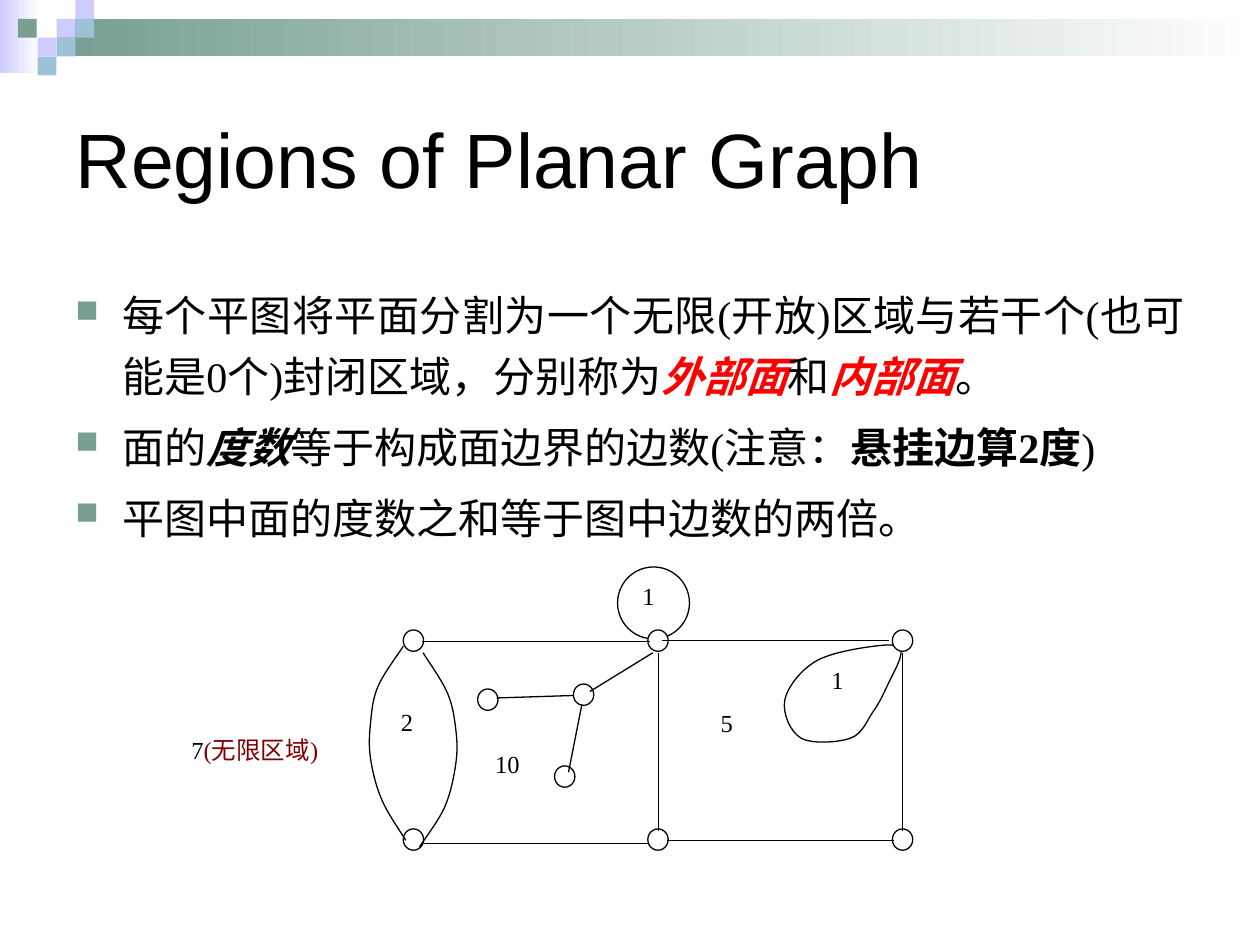
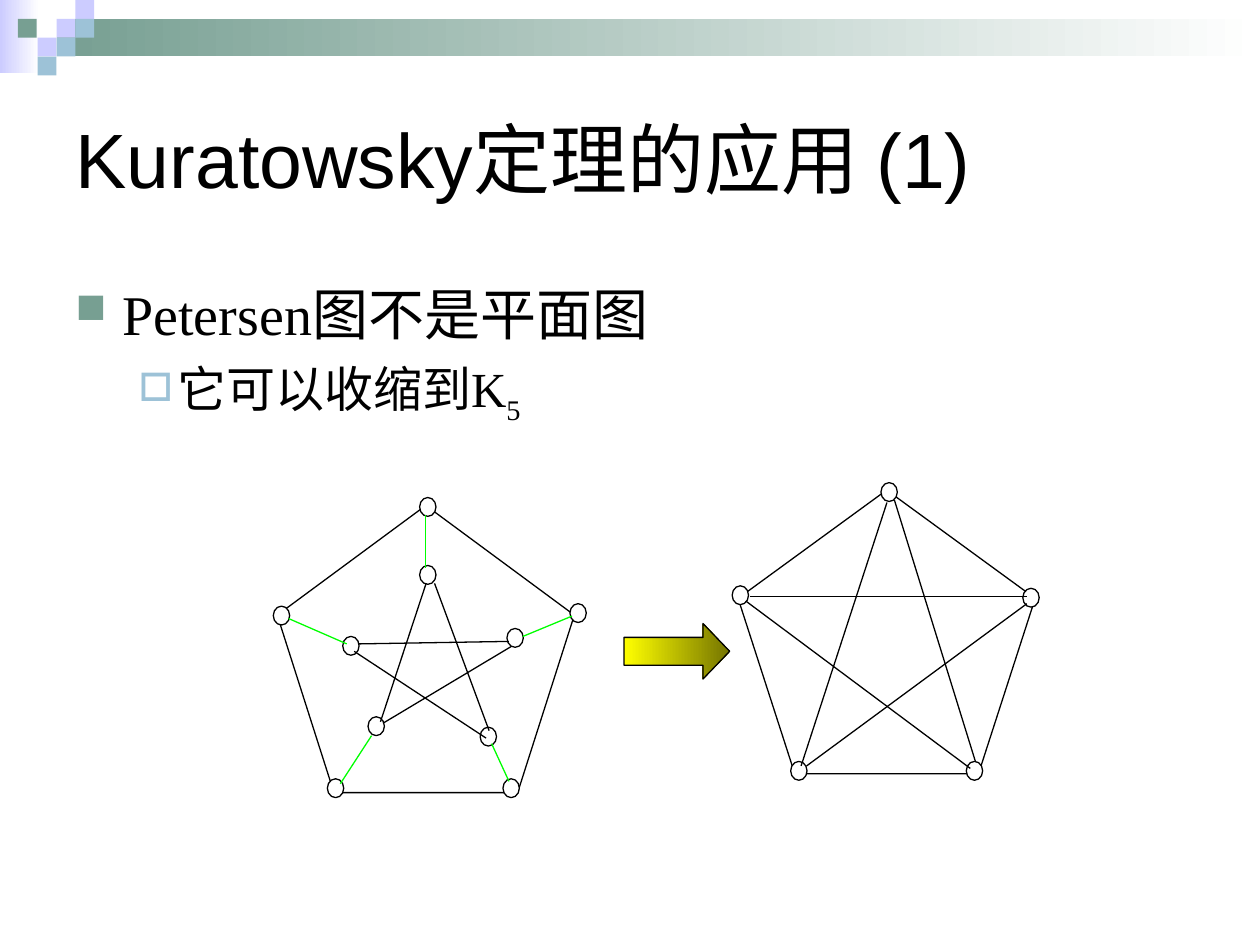
"""Build two slides on planar graphs: face degrees and the Petersen graph."""
import lxml.etree
import pptx
import pptx.dml.color
import pptx.enum.shapes
import pptx.enum.text
import pptx.oxml.ns
import pptx.util

Cm = pptx.util.Cm
Pt = pptx.util.Pt
qn = pptx.oxml.ns.qn
SHAPE = pptx.enum.shapes.MSO_SHAPE
ALIGN = pptx.enum.text.PP_ALIGN
BLACK, WHITE, RED, MAROON, GREEN = "000000", "FFFFFF", "FF0000", "800000", "00FF00"
SAGE, LILAC, SKY = "779F92", "CCCCFF", "9DC2D7"
SANS, SERIF, SYMBOLS = "Arial", "Times New Roman", "Wingdings"
GRID = 0.38
CORNER_SQUARES = [(3, 1, LILAC), (4, 0, LILAC), (4, 1, SKY), (2, 2, LILAC),
                  (0.95, 1, SAGE), (3, 2, SKY), (2, 3, SKY)]


def rgb(code):
    return pptx.dml.color.RGBColor.from_string(code)


class SlideWriter:
    def __init__(self, deck):
        self.deck = deck
        self.page = None

    def new_page(self, title):
        self.page = self.deck.slides.add_slide(self.deck.slide_layouts[5])
        if len(self.deck.slides) == 1:
            self.master_band()
        box = self.page.shapes.title
        box.left, box.top, box.width, box.height = Cm(1.27), Cm(1.27), Cm(22.86), Cm(3.81)
        frame = box.text_frame
        frame.auto_size = pptx.enum.text.MSO_AUTO_SIZE.NONE
        frame.vertical_anchor = pptx.enum.text.MSO_ANCHOR.MIDDLE
        para = frame.paragraphs[0]
        para.alignment = ALIGN.LEFT
        self.span(para, title, 44, font=SANS)

    def master_band(self):
        parts = [self.shape(SHAPE.RECTANGLE, 0, 0, 0.79, 1.47, (LILAC, WHITE), None),
                 self.shape(SHAPE.RECTANGLE, 1.14, GRID, 24.26, 2 * GRID, (SAGE, WHITE), None)]
        for column, row, color in CORNER_SQUARES:
            parts.append(self.shape(SHAPE.RECTANGLE, column * GRID, row * GRID,
                                    GRID, GRID, color, None))
        tree = self.deck.slide_master.shapes.element
        for index, part in enumerate(parts):
            part.element.nvSpPr.cNvPr.set("id", str(100 + index))
            tree.insert(2 + index, part.element)

    def shape(self, kind, left, top, width, height, fill=WHITE, line=BLACK):
        shape = self.page.shapes.add_shape(kind, Cm(left), Cm(top), Cm(width), Cm(height))
        self.paint(shape, fill, line)
        return shape

    def paint(self, shape, fill, line):
        shape.shadow.inherit = False
        if fill is None:
            shape.fill.background()
        elif isinstance(fill, tuple):
            shape.fill.gradient()
            shape.fill.gradient_angle = 0
            for stop, color in zip(shape.fill.gradient_stops, fill):
                stop.color.rgb = rgb(color)
        else:
            shape.fill.solid()
            shape.fill.fore_color.rgb = rgb(fill)
        if line is None:
            shape.line.fill.background()
        else:
            shape.line.color.rgb = rgb(line)
            shape.line.width = Pt(0.75)

    def nodes(self, corners, width, height):
        for left, top in corners:
            self.shape(SHAPE.OVAL, left, top, width, height)

    def edges(self, ends, color=BLACK):
        for end in ends:
            edge = self.page.shapes.add_connector(
                pptx.enum.shapes.MSO_CONNECTOR.STRAIGHT, *map(Cm, end))
            edge.line.color.rgb = rgb(color)
            edge.line.width = Pt(0.75)
            properties = edge.element.find(qn("p:spPr"))
            lxml.etree.SubElement(properties, qn("a:effectLst"))

    def curve(self, knots, closed=False):
        points = [(Cm(x), Cm(y)) for x, y in knots + knots[:1] * closed]
        builder = self.page.shapes.build_freeform(*points[0])
        builder.add_line_segments(points[1:], close=closed)
        shape = builder.convert_to_shape()
        self.paint(shape, None, BLACK)
        self.bend(shape, closed)

    def bend(self, shape, closed):
        points = [(int(point.get("x")), int(point.get("y")))
                  for point in shape.element.iter(qn("a:pt"))]
        ahead = points[-2] if closed else points[0]
        beyond = points[1] if closed else points[-1]
        padded = [ahead] + points + [beyond]
        for index, segment in enumerate(list(shape.element.iter(qn("a:lnTo")))):
            before, start, end, after = padded[index:index + 4]
            leave = [s + (e - b) / 6 for b, s, e in zip(before, start, end)]
            arrive = [e - (a - s) / 6 for s, e, a in zip(start, end, after)]
            bezier = lxml.etree.Element(qn("a:cubicBezTo"))
            for x, y in (leave, arrive, end):
                lxml.etree.SubElement(bezier, qn("a:pt"), x=str(round(x)), y=str(round(y)))
            segment.getparent().replace(segment, bezier)

    def text_frame(self, left, top, width, height):
        box = self.page.shapes.add_textbox(Cm(left), Cm(top), Cm(width), Cm(height))
        box.text_frame.word_wrap = True
        return box.text_frame

    def span(self, para, text, size, color=BLACK, font=SERIF, bold=False, italic=False,
             baseline=0):
        span = para.add_run()
        span.text = text
        span.font.size, span.font.name = Pt(size), font
        span.font.bold, span.font.italic = bold, italic
        span.font.color.rgb = rgb(color)
        if baseline:
            span.font._element.set("baseline", str(baseline * 1000))

    def label(self, left, top, width, height, *spans):
        para = self.text_frame(left, top, width, height).paragraphs[0]
        para.alignment = ALIGN.JUSTIFY
        for text, color in spans:
            self.span(para, text, 14, color)

    def bullets(self, items):
        frame = self.text_frame(1.27, 5.51, 22.86, 10.8)
        for index, (level, size, space, spacing, alignment, spans) in enumerate(items):
            para = frame.add_paragraph() if index else frame.paragraphs[0]
            para.level, para.alignment = level, alignment
            para.space_before, para.line_spacing = Pt(space), spacing
            self.bullet(para, level)
            for text, style in spans:
                self.span(para, text, size, **style)

    def bullet(self, para, level):
        margin, hang, mark, color, percent = [(0.95, 0.95, "n", SAGE, 75),
                                              (2.06, 0.79, "o", SKY, 80)][level]
        properties = para._p.get_or_add_pPr()
        properties.set("marL", str(Cm(margin)))
        properties.set("indent", str(-Cm(hang)))
        tint = lxml.etree.SubElement(properties, qn("a:buClr"))
        lxml.etree.SubElement(tint, qn("a:srgbClr"), val=color)
        lxml.etree.SubElement(properties, qn("a:buSzPct"), val=str(percent * 1000))
        lxml.etree.SubElement(properties, qn("a:buFont"), typeface=SYMBOLS, charset="2")
        lxml.etree.SubElement(properties, qn("a:buChar"), char=mark)


def regions_page(writer):
    writer.new_page("Regions of Planar Graph")
    key = {"color": RED, "bold": True, "italic": True}
    writer.bullets([
        (0, 24, 6, 1.2, ALIGN.JUSTIFY, [
            ("每个平图将平面分割为一个无限(开放)区域与若干个(也可能是0个)封闭区域，分别称为", {}),
            ("外部面", key), ("和", {}), ("内部面", key), ("。", {})]),
        (0, 24, 6, 1.2, ALIGN.JUSTIFY, [
            ("面的", {}), ("度数", {"bold": True, "italic": True}),
            ("等于构成面边界的边数(注意：", {}), ("悬挂边算2度", {"bold": True}), (")", {})]),
        (0, 24, 6, 1.2, ALIGN.LEFT, [("平图中面的度数之和等于图中边数的两倍。", {})]),
    ])
    writer.shape(SHAPE.OVAL, 12.45, 11.43, 1.45, 1.45, None)
    writer.curve([(18.16, 13.11), (17.6, 13.03), (16.43, 13.34), (15.82, 14.12),
                  (16.15, 14.88), (17.15, 14.88), (17.6, 14.35), (17.88, 13.84)], closed=True)
    frame_nodes = [(8.13 + 4.93 * column, top) for top in (12.7, 16.71) for column in range(3)]
    hanging_nodes = [(11.56, 13.79), (9.63, 13.89), (11.18, 15.44)]
    writer.nodes(frame_nodes + hanging_nodes, 0.41, 0.43)
    writer.edges([
        (8.51, 12.93, 13.11, 12.93), (13.34, 12.91, 17.93, 12.91),
        (8.51, 17, 13.06, 17), (13.44, 16.95, 18.03, 16.95),
        (18.2, 13.16, 18.2, 16.76), (13.28, 13.16, 13.28, 16.76),
        (11.89, 13.94, 13.16, 13.16), (10.01, 14.07, 11.56, 14.02),
        (11.73, 14.2, 11.46, 15.57)])
    writer.curve([(8.13, 13.03), (7.62, 13.84), (7.47, 14.58),
                  (7.47, 15.29), (7.7, 16.13), (8.18, 16.94)])
    writer.curve([(8.53, 13.16), (9.02, 13.97), (9.19, 14.71),
                  (9.19, 15.39), (8.97, 16.26), (8.46, 17.07)])
    writer.label(3.61, 14.69, 3.43, 1.98, ("7", BLACK), ("(无限区域)", MAROON))
    for degree, left, top, width, height in [
            ("2", 7.83, 14.12, 2.44, 2.24), ("1", 12.7, 11.59, 2.44, 2.41),
            ("1", 16.51, 13.28, 2.44, 2.41), ("5", 14.28, 14.15, 2.44, 2.69),
            ("10", 9.73, 14.97, 1.63, 1.68)]:
        writer.label(left, top, width, height, (degree, BLACK))


def petersen_page(writer):
    writer.new_page("Kuratowsky定理的应用 (1)")
    writer.bullets([
        (0, 32, 8, 1.0, ALIGN.LEFT, [("Petersen", {}), ("图不是平面图", {"font": SANS})]),
        (1, 28, 7, 1.0, ALIGN.LEFT, [("它可以收缩到K", {}), ("5", {"baseline": -25})]),
    ])
    writer.shape(SHAPE.REGULAR_PENTAGON, 14.88, 9.88, 5.99, 5.72)
    writer.shape(SHAPE.REGULAR_PENTAGON, 5.59, 10.19, 5.99, 5.79)
    outer_nodes = [(8.46, 10.03), (5.51, 12.22), (11.49, 12.17), (6.6, 15.7), (10.14, 15.7)]
    inner_nodes = [(8.46, 11.4), (6.91, 12.83), (7.42, 14.45), (9.68, 14.66), (10.22, 12.67)]
    k5_nodes = [(17.76, 9.73), (14.76, 11.81), (20.62, 11.86), (15.94, 15.35), (19.48, 15.35)]
    writer.nodes(outer_nodes + inner_nodes + k5_nodes, 0.33, 0.38)
    spokes = [(8.58, 10.39, 8.58, 11.46), (5.82, 12.47, 6.99, 12.98),
              (7.49, 14.83, 6.86, 15.8), (9.91, 14.99, 10.26, 15.75),
              (10.54, 12.83, 11.53, 12.42)]
    star = [(8.59, 11.76, 7.67, 14.55), (8.76, 11.76, 9.86, 14.73),
            (7.24, 12.98, 10.26, 12.93), (7.14, 13.13, 9.8, 14.88),
            (7.72, 14.58, 10.31, 13.03)]
    k5_diagonals = [(17.88, 10.13, 16.15, 15.44), (15.11, 12.02, 20.7, 12.02),
                    (18.03, 10.08, 19.66, 15.34), (15.04, 12.12, 19.56, 15.49),
                    (16.26, 15.44, 20.7, 12.17)]
    writer.edges(spokes, GREEN)
    writer.edges(star + k5_diagonals)
    arrow = writer.shape(SHAPE.RIGHT_ARROW, 12.58, 12.57, 2.13, 1.12, ("FFFF00", "757500"))
    arrow.adjustments[1] = 0.48


def main():
    deck = pptx.Presentation()
    deck.slide_width, deck.slide_height = Cm(25.4), Cm(19.05)
    writer = SlideWriter(deck)
    regions_page(writer)
    petersen_page(writer)
    deck.save("out.pptx")


if __name__ == "__main__":
    main()
